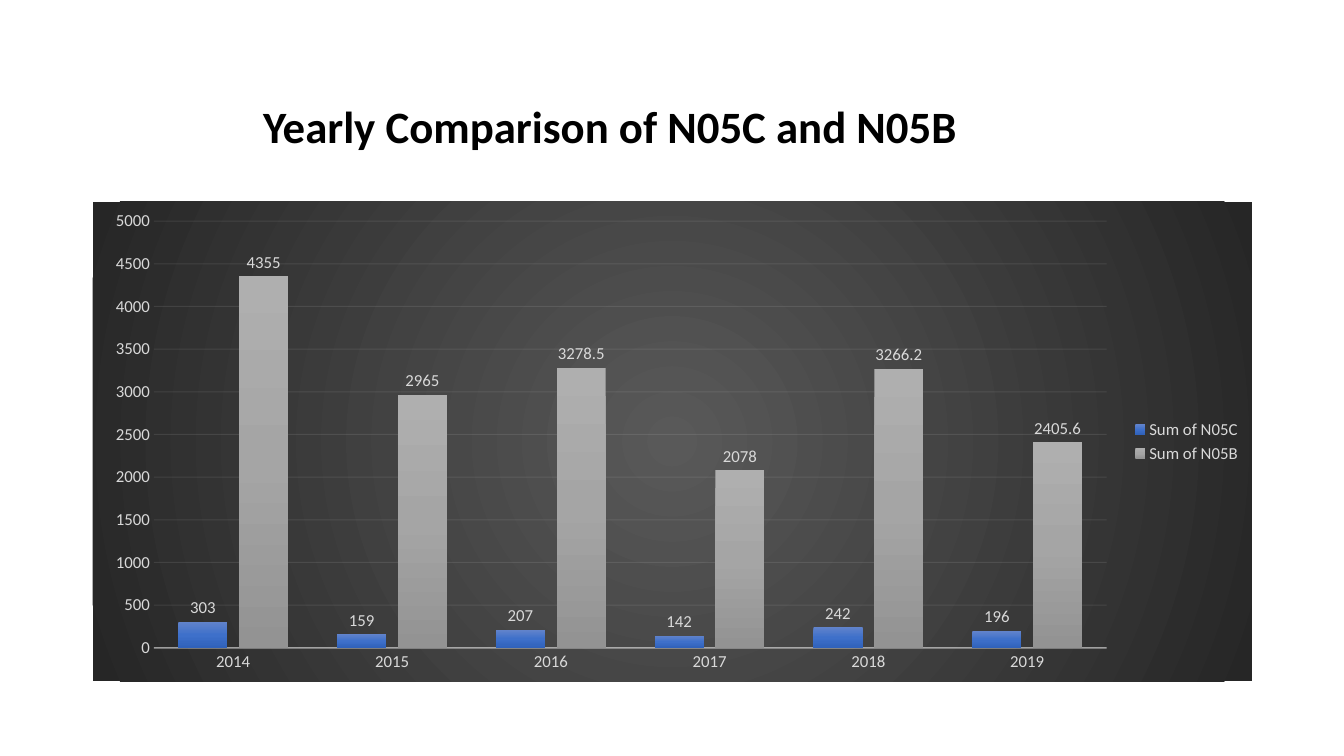
from lxml import etree
from pptx import Presentation
from pptx.chart.data import CategoryChartData
from pptx.dml.color import RGBColor
from pptx.enum.chart import XL_CHART_TYPE as ChartType
from pptx.enum.chart import XL_LABEL_POSITION as LabelPosition
from pptx.enum.chart import XL_LEGEND_POSITION as LegendPosition
from pptx.enum.chart import XL_TICK_MARK as TickMark
from pptx.enum.text import MSO_ANCHOR, MSO_AUTO_SIZE, PP_ALIGN
from pptx.oxml import parse_xml
from pptx.oxml.ns import nsdecls, qn
from pptx.util import Pt

COLORS = {"title": "000000", "label": "D9D9D9", "rule": "F2F2F2"}
BACKDROP = [(0, "595959"), (100, "262626")]
SERIES = [
    ("Sum of N05C", [303, 159, 207, 142, 242, 196],
     [(0, "6183CB"), (50, "3E70CA"), (100, "3062BB")]),
    ("Sum of N05B", [4355, 2965, 3278.5, 2078, 3266.2, 2405.6],
     [(0, "AFAFAF"), (50, "A5A5A5"), (100, "939393")]),
]
RADIAL = ('<a:path path="circle">'
          '<a:fillToRect l="50000" t="50000" r="50000" b="50000"/></a:path>')
DOWNWARD = '<a:lin ang="5400000" scaled="0"/>'


def gradient(stops, direction):
    """Return a gradFill element for (percent, hex) stops."""
    marks = "".join(f'<a:gs pos="{place * 1000}"><a:srgbClr val="{color}"/></a:gs>'
                    for place, color in stops)
    return parse_xml(f'<a:gradFill {nsdecls("a")} rotWithShape="1">'
                     f'<a:gsLst>{marks}</a:gsLst>{direction}</a:gradFill>')


def style_line(line, width, opacity):
    line.width = Pt(width)
    line.color.rgb = RGBColor.from_string(COLORS["rule"])
    color = line._ln.find(".//" + qn("a:srgbClr"))
    etree.SubElement(color, qn("a:alpha"), val=str(opacity * 1000))


deck = Presentation()
deck.slide_width, deck.slide_height = Pt(960), Pt(540)
page = deck.slides.add_slide(deck.slide_layouts[5])

# Title
title = page.shapes.title
title.left, title.top, title.width, title.height = Pt(180.7), Pt(39.6), Pt(828), Pt(104.4)
frame = title.text_frame
frame.text = "Yearly Comparison of N05C and N05B"
frame.auto_size = MSO_AUTO_SIZE.NONE
frame.vertical_anchor = MSO_ANCHOR.MIDDLE
para = frame.paragraphs[0]
para.alignment = PP_ALIGN.LEFT
para.line_spacing = 0.9
para.font.name, para.font.size, para.font.bold = "Calibri", Pt(32), True
para.font.color.rgb = RGBColor.from_string(COLORS["title"])

# Chart
data = CategoryChartData()
data.categories = ["2014", "2015", "2016", "2017", "2018", "2019"]
for name, values, _ in SERIES:
    data.add_series(name, values)
chart = page.shapes.add_chart(ChartType.COLUMN_CLUSTERED, Pt(66.2), Pt(144),
                              Pt(828), Pt(342.7), data).chart
chart.has_title = False
chart.font.name, chart.font.size = "Calibri", Pt(10)
backdrop = parse_xml(f'<c:spPr {nsdecls("c", "a")}><a:ln><a:noFill/></a:ln></c:spPr>')
backdrop.insert(0, gradient(BACKDROP, RADIAL))
chart._chartSpace.find(qn("c:chart")).addnext(backdrop)

chart.has_legend = True
chart.legend.position = LegendPosition.RIGHT
chart.legend.include_in_layout = False

plot = chart.plots[0]
plot.gap_width, plot.overlap, plot.vary_by_categories = 100, -24, False
fonts = [chart.legend.font, chart.category_axis.tick_labels.font,
         chart.value_axis.tick_labels.font]
for series, (_, _, stops) in zip(plot.series, SERIES):
    series._element.get_or_add_spPr().insert(0, gradient(stops, DOWNWARD))
    labels = series.data_labels
    labels.show_value = True
    labels.position = LabelPosition.OUTSIDE_END
    fonts.append(labels.font)
for font in fonts:
    font.name, font.size = "Calibri", Pt(12)
    font.color.rgb = RGBColor.from_string(COLORS["label"])

# Axes
for axis in (chart.category_axis, chart.value_axis):
    axis.major_tick_mark = axis.minor_tick_mark = TickMark.NONE
style_line(chart.category_axis.format.line, 1, 54)
scale = chart.value_axis
scale.minimum_scale, scale.maximum_scale, scale.major_unit = 0, 5000, 500
scale.format.line.fill.background()
style_line(scale.major_gridlines.format.line, 0.75, 10)

deck.save("out.pptx")
